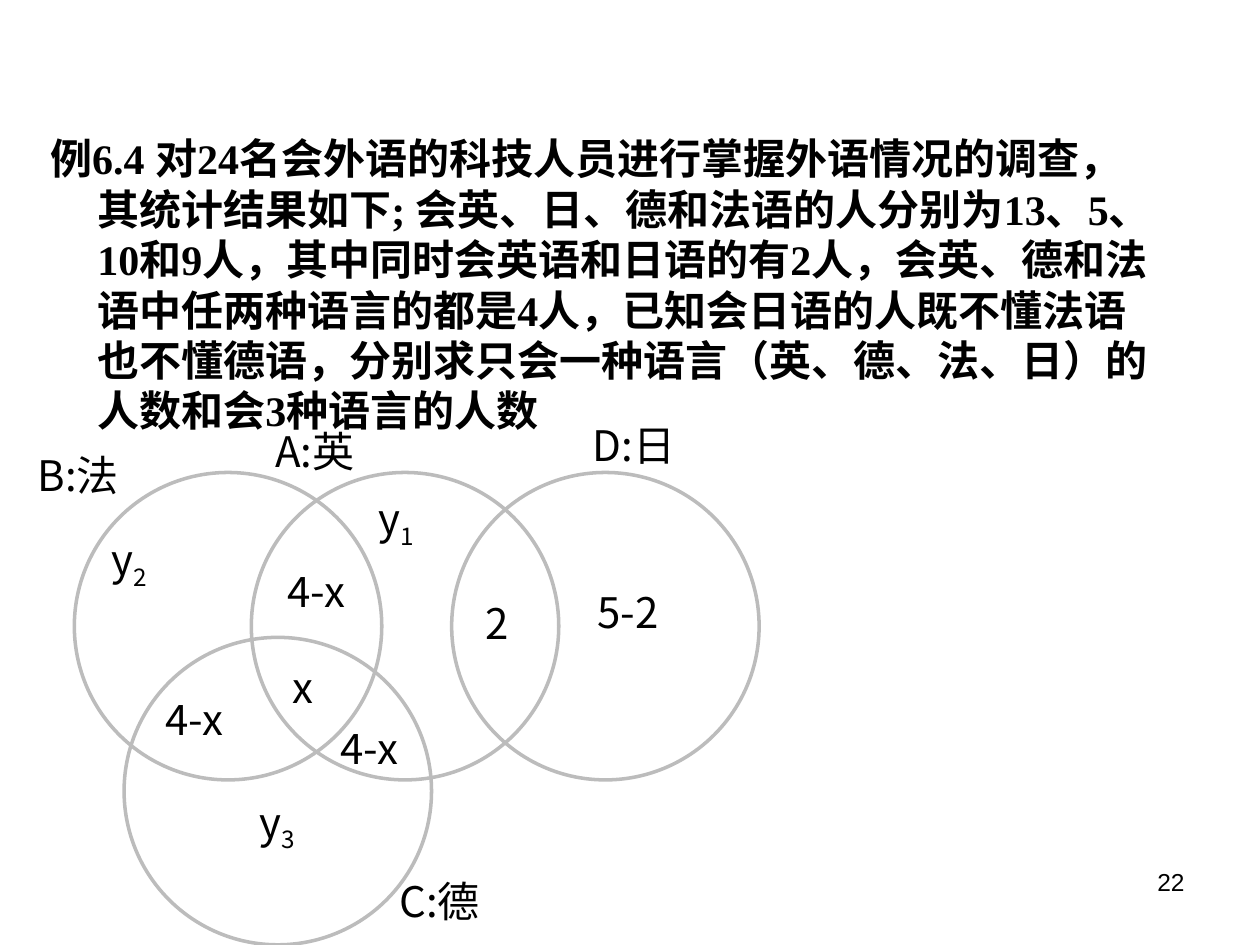
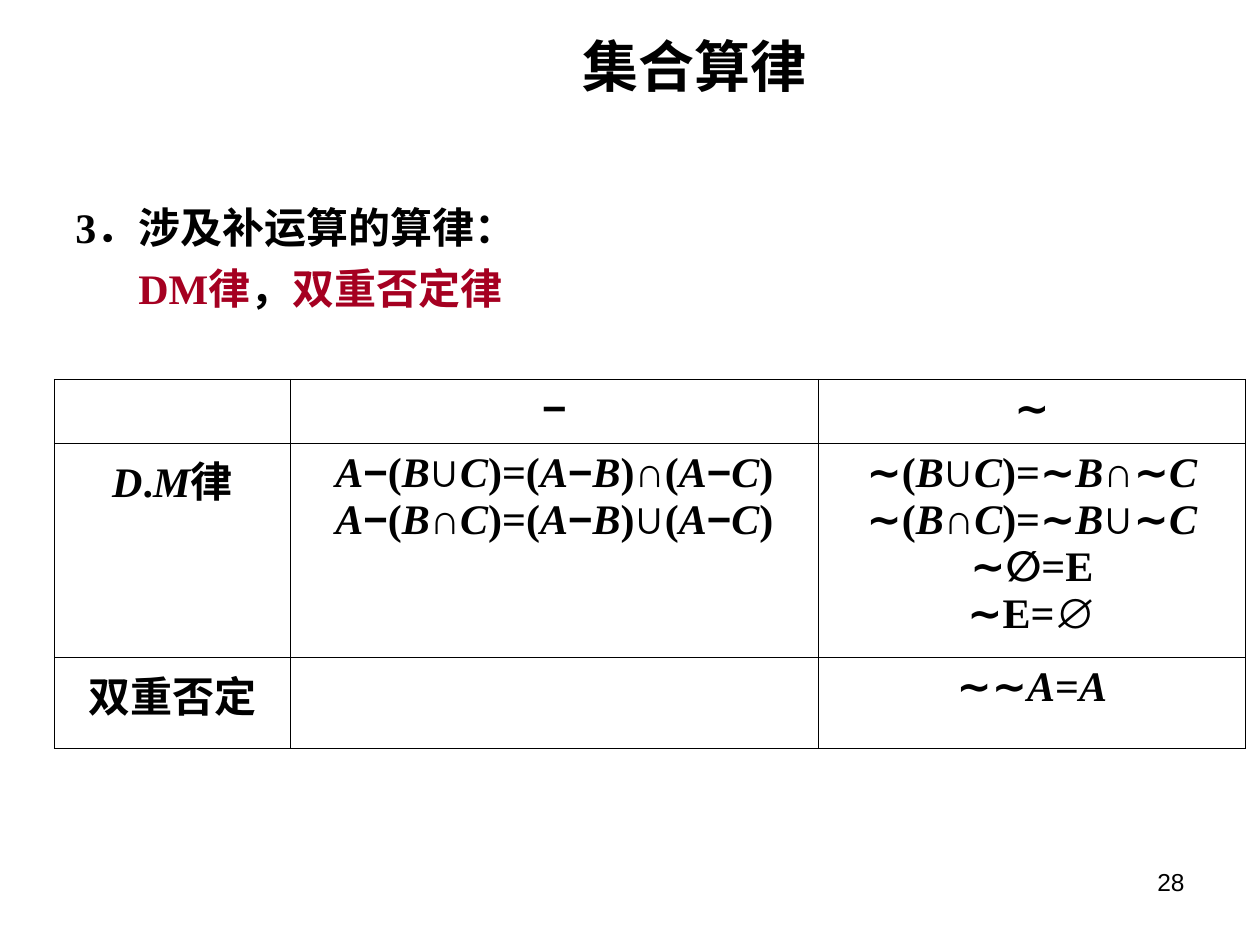
"""Build two set theory slides: a Venn count and a table of complement laws."""
from dataclasses import dataclass
from itertools import groupby
from typing import Any

import pptx
import pptx.dml.color
import pptx.enum.shapes
import pptx.enum.text
import pptx.oxml
import pptx.oxml.ns
import pptx.util

RGB = pptx.dml.color.RGBColor
ALIGN = pptx.enum.text.PP_ALIGN
BLACK = RGB(0x00, 0x00, 0x00)
RED = RGB(0xA5, 0x00, 0x21)
GREY = RGB(0xBC, 0xBC, 0xBC)
SERIF, SANS, HAN = "Times New Roman", "Arial", "Noto Sans CJK SC"
WIDE, HIGH = pptx.util.Inches(10), pptx.util.Inches(7.5)
NULL, SIGNS, SETS = "∅", "−∼∪∩∅", "ABCDM"


@dataclass(frozen=True)
class Box:
    """Place and size in hundredths of the slide's width and height."""
    left: float
    top: float
    width: float
    height: float

    def frame(self) -> tuple[int, int, int, int]:
        """Return the lengths that python-pptx wants."""
        return (across(self.left), down(self.top),
                across(self.width), down(self.height))


@dataclass(frozen=True)
class Style:
    """Look of a paragraph."""
    face: str
    size: float = 24
    bold: bool = False
    align: Any = ALIGN.LEFT


@dataclass(frozen=True)
class Label:
    """Text in the Venn figure; an underscore starts a subscript."""
    text: str
    left: float
    top: float
    width: float = 6.7


@dataclass(frozen=True)
class Ring:
    """Corner of one circle."""
    left: float
    top: float


TITLE = Style(SANS, 32, True, ALIGN.CENTER)
BODY = Style(SERIF, bold=True)
MARK = Style(HAN)
PAGE = Style(SANS, 14, align=ALIGN.RIGHT)
LAW = Style(SERIF, bold=True, align=ALIGN.CENTER)

TASK = ("例6.4 对24名会外语的科技人员进行掌握外语情况的调查，其统计结果如下; "
        "会英、日、德和法语的人分别为13、5、10和9人，其中同时会英语和日语的有2人，"
        "会英、德和法语中任两种语言的都是4人，已知会日语的人既不懂法语也不懂德语，"
        "分别求只会一种语言（英、德、法、日）的人数和会3种语言的人数")
SPAN = 24.4
RINGS = [Ring(5.9, 50), Ring(19.95, 50), Ring(35.85, 50), Ring(9.85, 67.45)]
LABELS = [
    Label("B:法", 2, 46.9, 10.2), Label("A:英", 20.87, 44.35, 10.2),
    Label("D:日", 46.05, 43.73, 10.2), Label("C:德", 30.7, 92, 10.2),
    Label("y_2", 7.9, 55.8), Label("y_1", 29.05, 51.47),
    Label("5-2", 46.45, 61.4, 9.8), Label("2", 37.55, 62.53),
    Label("4-x", 21.8, 59.2, 8.5), Label("x", 22.25, 69.33),
    Label("4-x", 12.15, 72.75, 8.5), Label("4-x", 26, 75.8, 8.5),
    Label("y_3", 19.6, 83.6),
]
COLS = [18.75, 41.9, 33.9]
ROWS = [6.75, 22.67, 9.6]
LAWS = [
    ["", "−", "∼"],
    ["D.M律", "A−(B∪C)=(A−B)∩(A−C)\nA−(B∩C)=(A−B)∪(A−C)",
     "∼(B∪C)=∼B∩∼C\n∼(B∩C)=∼B∪∼C\n∼∅=E\n∼E=∅"],
    ["双重否定", "", "∼∼A=A"],
]


def across(share: float) -> int:
    """Turn a share of the width into a length."""
    return round(WIDE * share / 100)


def down(share: float) -> int:
    """Turn a share of the height into a length."""
    return round(HIGH * share / 100)


def dress(para: Any, style: Style) -> None:
    """Give a paragraph its style."""
    para.alignment = style.align
    font = para.font
    font.name, font.size, font.bold = style.face, pptx.util.Pt(style.size), style.bold
    font.color.rgb = BLACK


def indent(para: Any, left: float, first: float) -> None:
    """Set margin, first line and space above, and keep stops inside the box."""
    para.space_before = pptx.util.Pt(6)
    props = para._p.get_or_add_pPr()
    props.set("marL", str(across(left)))
    props.set("indent", str(across(first)))
    props.set("hangingPunct", "0")


def write(shapes: Any, box: Box, text: str, style: Style) -> Any:
    """Add a text box and return its text frame."""
    frame = shapes.add_textbox(*box.frame()).text_frame
    frame.word_wrap = True
    para = frame.paragraphs[0]
    para.text = text
    dress(para, style)
    return frame


def number(slide: Any, page: int) -> None:
    """Add the page number."""
    write(slide.shapes, Box(71.7, 91.07, 23.3, 6.93), str(page), PAGE)


def ring(shapes: Any, item: Ring) -> None:
    """Draw one circle."""
    shape = shapes.add_shape(
        pptx.enum.shapes.MSO_SHAPE.OVAL, across(item.left), down(item.top),
        across(SPAN), across(SPAN))
    shape.shadow.inherit = False
    shape.fill.background()
    shape.line.color.rgb = GREY
    shape.line.width = pptx.util.Pt(2)


def label(shapes: Any, item: Label) -> None:
    """Write one label of the figure."""
    base, _, sub = item.text.partition("_")
    box = Box(item.left, item.top, item.width, 7.47 if sub else 6.67)
    frame = write(shapes, box, base, MARK)
    if sub:
        run = frame.paragraphs[0].add_run()
        run.text = sub
        run._r.get_or_add_rPr().set("baseline", "-25000")


def look(char: str) -> tuple[str, bool, bool]:
    """Return a character's face and slant, and whether it is the empty set."""
    if char in SIGNS:
        return SANS, False, char == NULL
    return (HAN if char >= "一" else SERIF), char in SETS, False


def border(cell: Any) -> None:
    """Clear a cell's fill and rule its four sides."""
    cell.fill.background()
    props = cell._tc.get_or_add_tcPr()
    for spot, side in enumerate("LRTB"):
        props.insert(spot, pptx.oxml.parse_xml(
            f'<a:ln{side} {pptx.oxml.ns.nsdecls("a")} w="{pptx.util.Pt(0.45)}">'
            f'<a:solidFill><a:srgbClr val="{BLACK}"/></a:solidFill></a:ln{side}>'))


def enter(cell: Any, text: str) -> None:
    """Write laws into a cell, one a line."""
    border(cell)
    frame = cell.text_frame
    for spot, line in enumerate(text.split("\n")):
        para = frame.add_paragraph() if spot else frame.paragraphs[0]
        dress(para, LAW)
        for (face, slant, _), chars in groupby(line, look):
            run = para.add_run()
            run.text = "".join(chars)
            run.font.name, run.font.italic = face, slant


def venn(slide: Any) -> None:
    """Fill the slide on languages."""
    frame = write(slide.shapes, Box(3, 13.4, 90, 66), TASK, BODY)
    indent(frame.paragraphs[0], 3.75, -3.75)
    number(slide, 22)
    group = slide.shapes.add_group_shape().shapes
    for item in RINGS:
        ring(group, item)
    for item in LABELS:
        label(group, item)


def rules(slide: Any) -> None:
    """Fill the slide on complement laws."""
    number(slide, 28)
    head = write(slide.shapes, Box(21.65, 3.8, 66.9, 6.13), "集合算律", TITLE)
    head.vertical_anchor = pptx.enum.text.MSO_ANCHOR.MIDDLE
    frame = write(slide.shapes, Box(5, 20.63, 90, 14.67), "3．涉及补运算的算律：", BODY)
    indent(frame.paragraphs[0], 3.75, -3.75)
    para = frame.add_paragraph()
    dress(para, BODY)
    indent(para, 5, 0)
    for text, tint in [("DM律", RED), ("，", BLACK), ("双重否定律", RED)]:
        run = para.add_run()
        run.text = text
        run.font.color.rgb = tint

    box = Box(4.3, 40.13, sum(COLS), sum(ROWS))
    table = slide.shapes.add_table(len(ROWS), len(COLS), *box.frame()).table
    table.first_row = table.horz_banding = False
    for col, share in zip(table.columns, COLS):
        col.width = across(share)
    for row, share, texts in zip(table.rows, ROWS, LAWS):
        row.height = down(share)
        for cell, text in zip(row.cells, texts):
            enter(cell, text)


def main() -> None:
    """Build and save the deck."""
    deck = pptx.Presentation()
    deck.slide_width, deck.slide_height = WIDE, HIGH
    for fill in (venn, rules):
        fill(deck.slides.add_slide(deck.slide_layouts[6]))
    deck.save("out.pptx")


if __name__ == "__main__":
    main()
